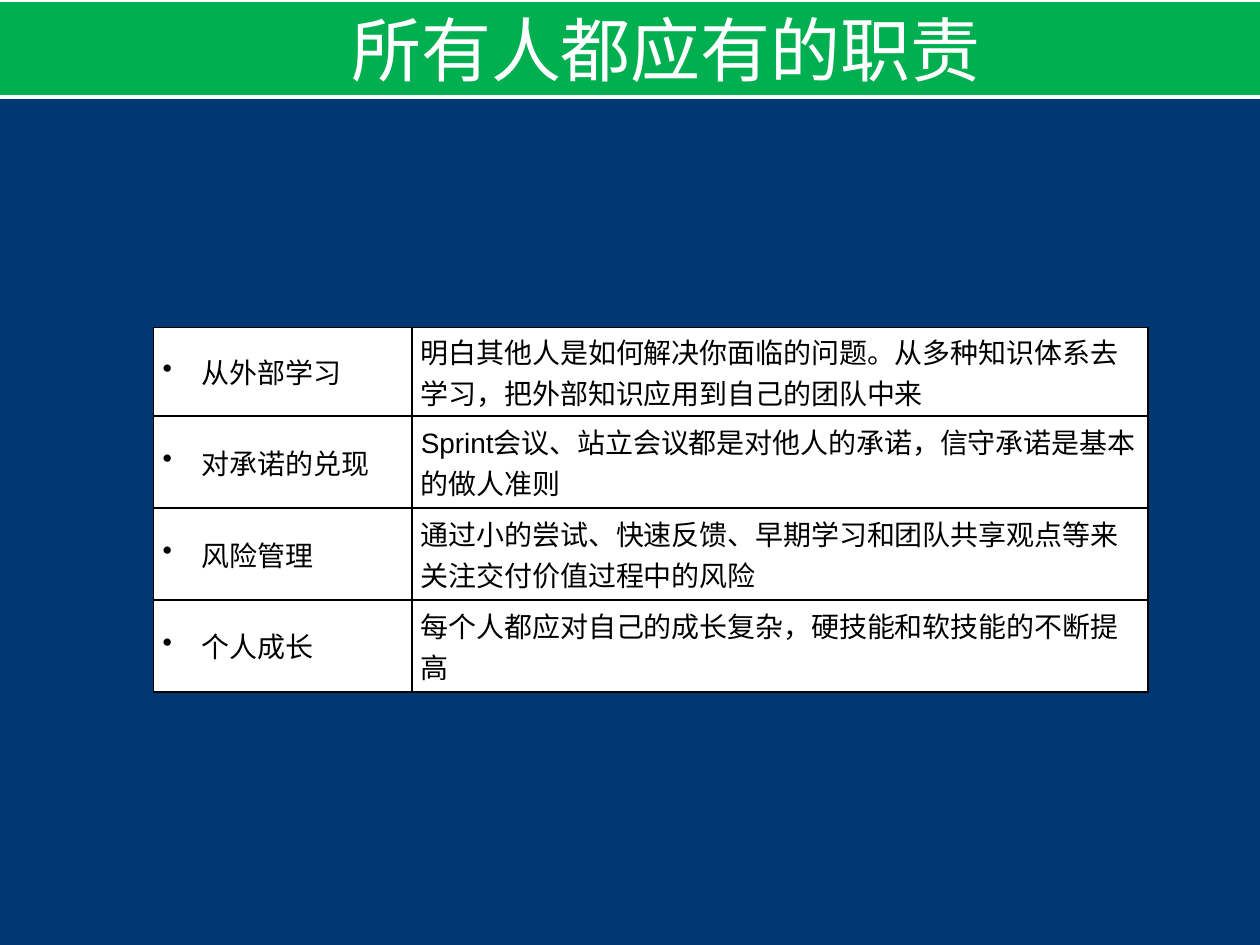
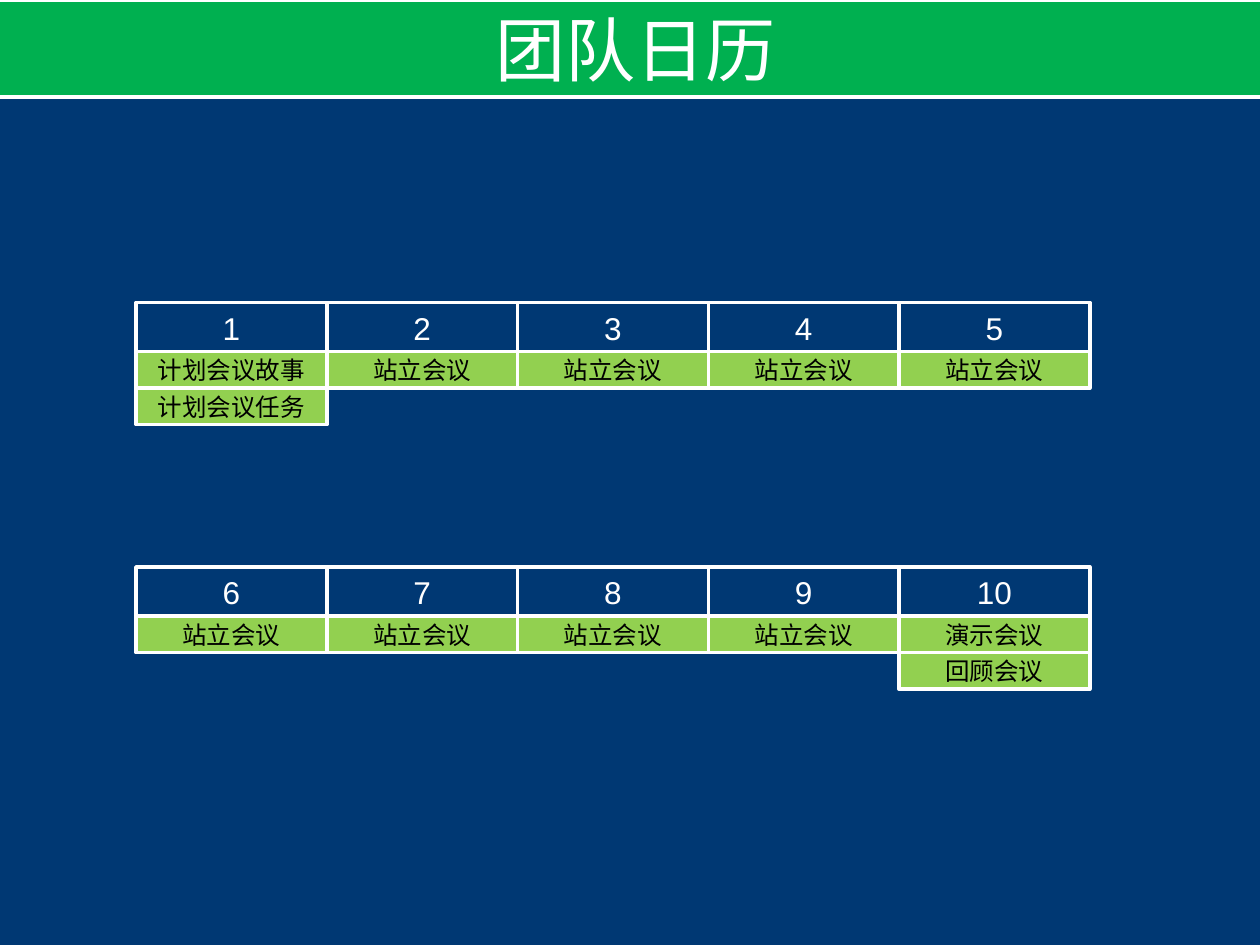
"""Build two slides on team duties and the team calendar."""
from dataclasses import dataclass

from lxml import etree
from pptx import Presentation
from pptx import util as u
from pptx.dml.color import RGBColor
from pptx.enum import shapes, text
from pptx.oxml import ns


@dataclass(frozen=True)
class Theme:
    navy: str = "003873"
    green: str = "00B050"
    lime: str = "92D050"
    white: str = "FFFFFF"
    black: str = "000000"
    font: str = "Arial"
    title_size: int = 40
    day_size: int = 18
    duty_size: int = 16
    meeting_size: int = 14
    outline: int = 2
    border: int = 1


def write_text(frame, content, *, font, size, color, align=None, bullet=None):
    para = frame.paragraphs[0]
    if align is not None:
        para.alignment = align
    if bullet:
        properties = para._p.get_or_add_pPr()
        properties.set("marL", str(u.Inches(0.31)))
        properties.set("indent", str(-u.Inches(0.31)))
        etree.SubElement(properties, ns.qn("a:buChar"), char=bullet)
    span = para.add_run()
    span.text = content
    span.font.name = font
    span.font.size = u.Pt(size)
    span.font.color.rgb = RGBColor.from_string(color)


class SlideWriter:
    def __init__(self, deck, theme):
        self.deck = deck
        self.theme = theme
        self.page = None

    def start_page(self, title, left, width):
        theme = self.theme
        self.page = self.deck.slides.add_slide(self.deck.slide_layouts[5])
        background = self.page.background.fill
        background.solid()
        background.fore_color.rgb = RGBColor.from_string(theme.navy)
        heading = self.page.shapes.title
        heading.left, heading.top = left, 0
        heading.width, heading.height = width, u.Inches(0.77)
        frame = heading.text_frame
        frame.word_wrap = False
        frame.auto_size = text.MSO_AUTO_SIZE.NONE
        frame.vertical_anchor = text.MSO_ANCHOR.MIDDLE
        write_text(frame, title, font=theme.font, size=theme.title_size,
                   color=theme.white, align=text.PP_ALIGN.CENTER)
        band = self.add_box(u.Inches(-0.27), 0, u.Inches(10.62), u.Inches(0.77), theme.green)
        heading.element.addprevious(band.element)

    def add_box(self, left, top, width, height, fill=None):
        box = self.page.shapes.add_shape(
            shapes.MSO_SHAPE.RECTANGLE, left, top, width, height)
        box.shadow.inherit = False
        if fill:
            box.fill.solid()
            box.fill.fore_color.rgb = RGBColor.from_string(fill)
        else:
            box.fill.background()
        box.line.color.rgb = RGBColor.from_string(self.theme.white)
        box.line.width = u.Pt(self.theme.outline)
        return box

    def add_label(self, label, bounds, size, color, anchor, fill=None):
        box = self.add_box(*bounds, fill)
        box.text_frame.vertical_anchor = anchor
        write_text(box.text_frame, label, font=self.theme.font, size=size,
                   color=color, align=text.PP_ALIGN.CENTER)

    def add_table(self, rows, left, top, column_widths, row_heights):
        table = self.page.shapes.add_table(
            len(rows), len(column_widths), left, top,
            sum(column_widths), sum(row_heights)).table
        for column, width in zip(table.columns, column_widths):
            column.width = width
        for row, height, contents in zip(table.rows, row_heights, rows):
            row.height = height
            for index, (cell, content) in enumerate(zip(row.cells, contents)):
                self.format_cell(cell)
                write_text(cell.text_frame, content, font=self.theme.font,
                           size=self.theme.duty_size, color=self.theme.black,
                           bullet="•" if index == 0 else None)

    def format_cell(self, cell):
        cell.margin_left = cell.margin_right = u.Inches(0.07)
        cell.margin_top = cell.margin_bottom = u.Inches(0.03)
        cell.vertical_anchor = text.MSO_ANCHOR.MIDDLE
        properties = cell._tc.get_or_add_tcPr()
        for side in ("lnL", "lnR", "lnT", "lnB"):
            line = etree.SubElement(properties, ns.qn(f"a:{side}"),
                                    w=str(u.Pt(self.theme.border)))
            paint = etree.SubElement(line, ns.qn("a:solidFill"))
            etree.SubElement(paint, ns.qn("a:srgbClr"), val=self.theme.black)
        cell.fill.solid()
        cell.fill.fore_color.rgb = RGBColor.from_string(self.theme.white)

    def add_week(self, top, first_day, meetings):
        theme = self.theme
        left, width = u.Inches(1.08), u.Inches(7.57) // len(meetings)
        day_height, meeting_height = u.Inches(0.39), u.Inches(0.29)
        for index in range(len(meetings)):
            self.add_label(str(first_day + index),
                           (left + index * width, top, width, day_height),
                           theme.day_size, theme.white, text.MSO_ANCHOR.TOP)
        for index, names in enumerate(meetings):
            for level, name in enumerate(names):
                bounds = (left + index * width, top + day_height + level * meeting_height,
                          width, meeting_height)
                self.add_label(name, bounds, theme.meeting_size, theme.black,
                               text.MSO_ANCHOR.MIDDLE, theme.lime)


def main():
    deck = Presentation()
    deck.slide_width, deck.slide_height = u.Inches(10), u.Inches(7.5)
    writer = SlideWriter(deck, Theme())

    writer.start_page("所有人都应有的职责", u.Inches(2.66), u.Inches(5.25))
    duties = [
        ("从外部学习", "明白其他人是如何解决你面临的问题。从多种知识体系去学习，把外部知识应用到自己的团队中来"),
        ("对承诺的兑现", "Sprint会议、站立会议都是对他人的承诺，信守承诺是基本的做人准则"),
        ("风险管理", "通过小的尝试、快速反馈、早期学习和团队共享观点等来关注交付价值过程中的风险"),
        ("个人成长", "每个人都应对自己的成长复杂，硬技能和软技能的不断提高"),
    ]
    writer.add_table(duties, u.Inches(1.22), u.Inches(2.6),
                     [u.Inches(2.05), u.Inches(5.84)],
                     [u.Inches(0.7)] + [u.Inches(0.73)] * 3)

    writer.start_page("团队日历", u.Inches(3.82), u.Inches(2.45))
    standup = ["站立会议"]
    writer.add_week(u.Inches(2.4), 1, [["计划会议故事", "计划会议任务"]] + [standup] * 4)
    writer.add_week(u.Inches(4.5), 6, [standup] * 4 + [["演示会议", "回顾会议"]])

    deck.save("out.pptx")


if __name__ == "__main__":
    main()
